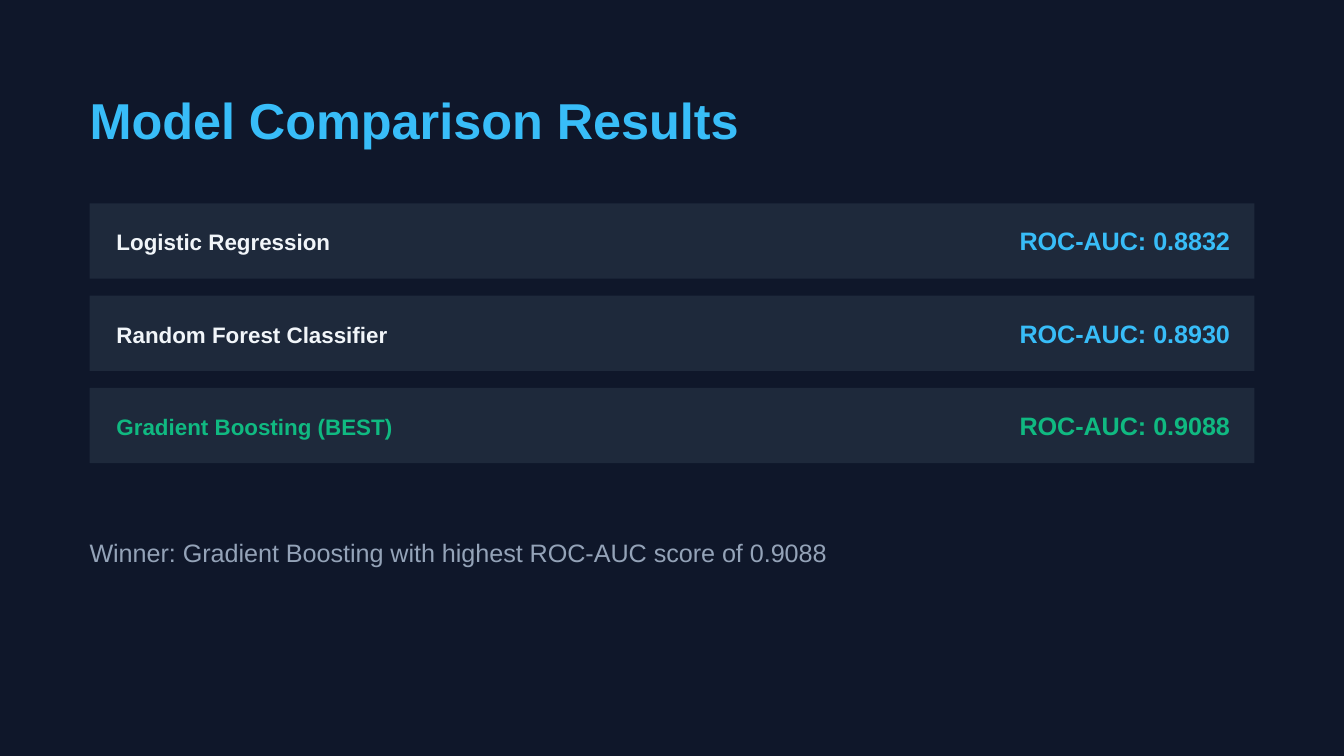
from pptx import Presentation, util as u
from pptx.dml.color import RGBColor
from pptx.enum import shapes, text

COLORS = {
    "background": "0F172A",
    "card": "1E293B",
    "accent": "38BDF8",
    "label": "F1F5F9",
    "best": "10B981",
    "muted": "94A3B8",
}
MODELS = [
    ("Logistic Regression", "0.8832", "label", "accent"),
    ("Random Forest Classifier", "0.8930", "label", "accent"),
    ("Gradient Boosting (BEST)", "0.9088", "best", "best"),
]


class Deck:
    """Draws styled elements on a slide with a square grid of 15 columns."""

    def __init__(self):
        self.prs = Presentation()
        self.prs.slide_width = u.Inches(10)
        self.prs.slide_height = self.prs.slide_width * 9 // 16
        self.cell = self.prs.slide_width / 15
        self.s = self.prs.slides.add_slide(self.prs.slide_layouts[6])
        self.paint(self.s.background.fill, "background")

    def paint(self, fill, color):
        fill.solid()
        fill.fore_color.rgb = RGBColor.from_string(COLORS[color])

    def grid(self, *cells):
        return [u.Emu(round(c * self.cell)) for c in cells]

    def card(self, col, row, cols, rows):
        sp = self.s.shapes.add_shape(
            shapes.MSO_SHAPE.RECTANGLE, *self.grid(col, row, cols, rows))
        self.paint(sp.fill, "card")
        sp.line.fill.background()
        sp.shadow.inherit = False

    def text(self, words, col, row, cols, rows, size, color, spacing, bold=True):
        sp = self.s.shapes.add_textbox(*self.grid(col, row, cols, rows))
        tf = sp.text_frame
        tf.margin_left = tf.margin_right = tf.margin_top = tf.margin_bottom = 0
        tf.word_wrap = True
        tf.vertical_anchor = text.MSO_ANCHOR.TOP
        p = tf.paragraphs[0]
        p.text = words
        p.line_spacing = u.Pt(spacing)
        p.font.name = "Arial"
        p.font.size = u.Pt(size)
        p.font.bold = bold
        p.font.color.rgb = RGBColor.from_string(COLORS[color])

    def result(self, row, model, score, label_color, score_color):
        self.card(1, row, 13, 0.84)
        self.text(model, 1.3, row + 0.28, 5, 0.27, 12, label_color, 14.4)
        self.text(f"ROC-AUC: {score}", 11.38, row + 0.25, 2.4, 0.34,
                  13.5, score_color, 16.2)


def main():
    deck = Deck()
    deck.text("Model Comparison Results", 1, 1, 13.26, 0.65, 27, "accent", 32.4)
    for i, model in enumerate(MODELS):
        deck.result(2.27 + 1.03 * i, *model)
    deck.text("Winner: Gradient Boosting with highest ROC-AUC score of 0.9088",
              1, 5.73, 13.26, 0.45, 13.5, "muted", 28.8, bold=False)
    deck.prs.save("out.pptx")


if __name__ == "__main__":
    main()
